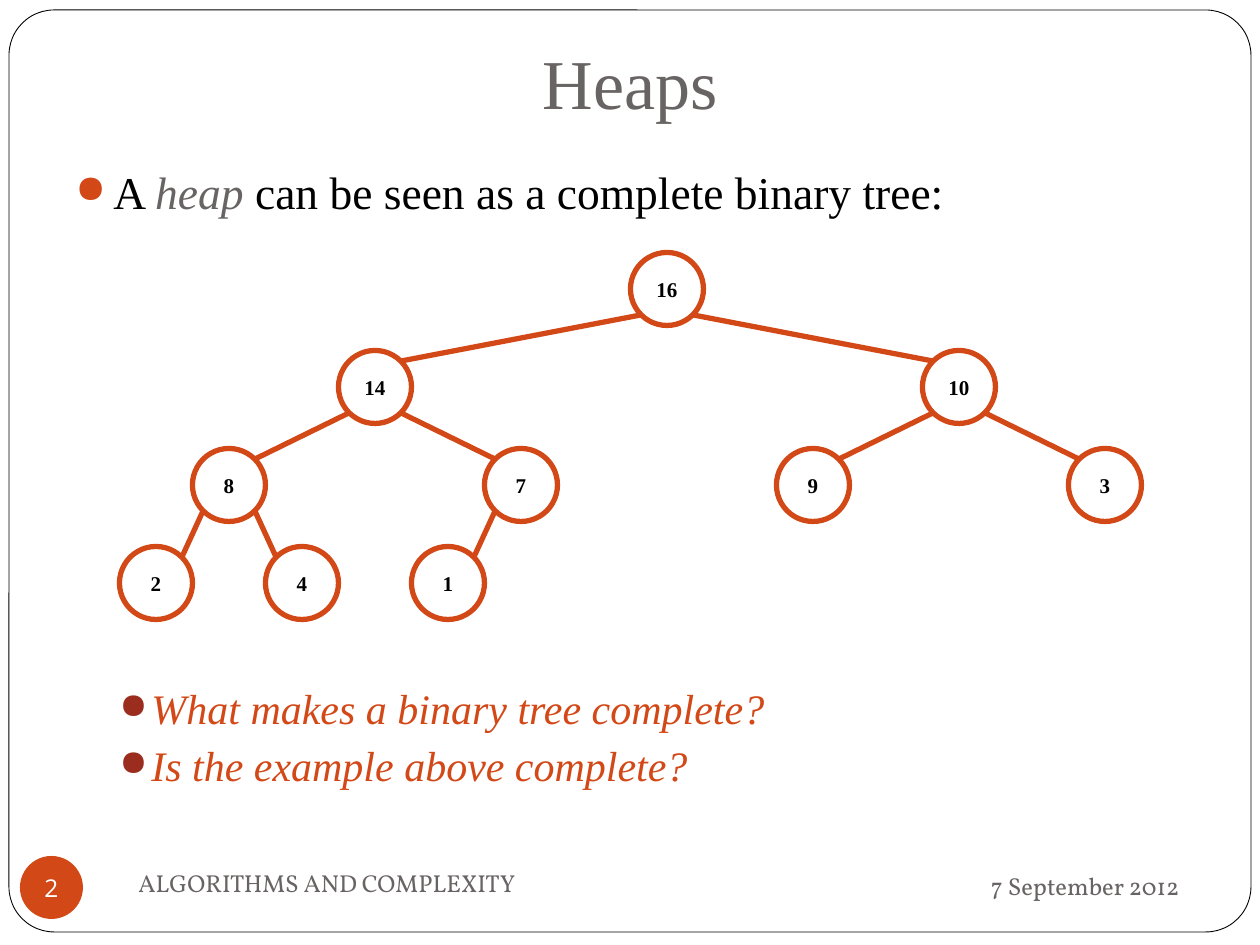
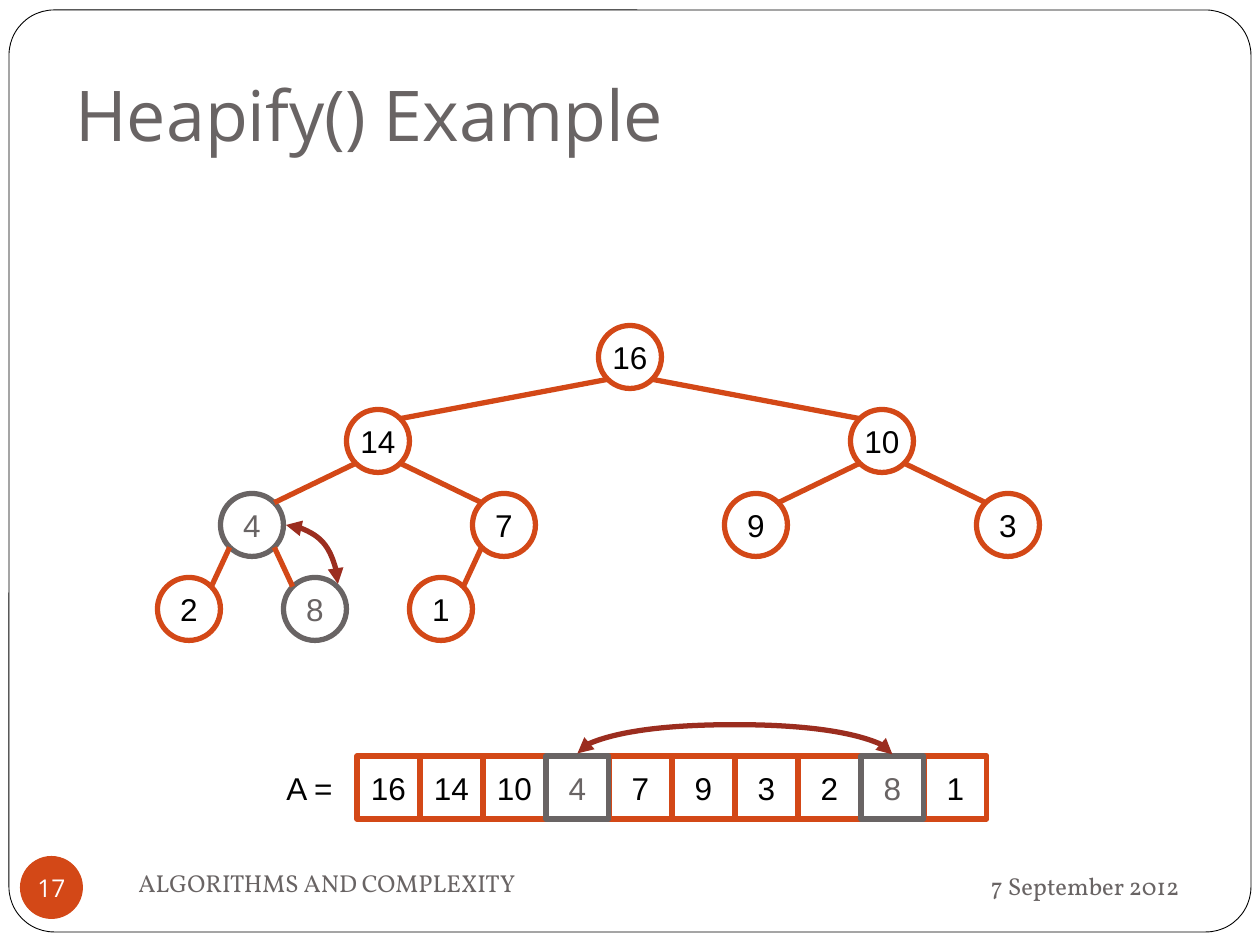
from dataclasses import dataclass

from lxml import etree
from pptx import Presentation
from pptx.dml.color import RGBColor
from pptx.enum.shapes import MSO_CONNECTOR, MSO_SHAPE
from pptx.enum.text import MSO_ANCHOR, PP_ALIGN
from pptx.oxml.ns import qn
from pptx.util import Emu, Pt

PX = 914400 // 126


@dataclass(frozen=True)
class Theme:
    """Colours, fonts and type sizes shared by the slides."""
    paper: str = "FFFFFF"
    ink: str = "000000"
    grey: str = "696464"
    orange: str = "D34817"
    red: str = "9B2D1F"
    serif: str = "Times New Roman"
    sans: str = "Open Sans"
    label: str = "Arial"
    footer: str = "Vollkorn"
    title_size: int = 40
    body_size: int = 26
    question_size: int = 24
    label_size: int = 18
    footer_size: int = 14
    small_size: int = 12
    stroke: int = 3


T = Theme()


@dataclass(frozen=True)
class Style:
    """Look of a run of text."""
    size: int
    font: str
    color: str
    bold: bool = False
    italic: bool = False


def px(*lengths):
    """Turn pixel lengths into EMU."""
    return [Emu(round(length * PX)) for length in lengths]


def rgb(color):
    """Turn a hex string into a colour."""
    return RGBColor.from_string(color)


def add_run(paragraph, text, style):
    """Append a styled run to a paragraph."""
    run = paragraph.add_run()
    run.text = text
    font = run.font
    font.size, font.name = Pt(style.size), style.font
    font.bold, font.italic = style.bold, style.italic
    font.color.rgb = rgb(style.color)


def write(shape, text, style, align=PP_ALIGN.CENTER, anchor=MSO_ANCHOR.MIDDLE,
          wrap=False):
    """Put one aligned line of text in a shape."""
    frame = shape.text_frame
    frame.word_wrap, frame.vertical_anchor = wrap, anchor
    frame.paragraphs[0].alignment = align
    add_run(frame.paragraphs[0], text, style)
    return frame


def add_text(slide, box, text, style, **layout):
    """Add a text box with one line."""
    return write(slide.shapes.add_textbox(*px(*box)), text, style, **layout)


def add_preset(slide, kind, box, fill, line=None, width=T.stroke):
    """Add a flat preset shape."""
    shape = slide.shapes.add_shape(kind, *px(*box))
    shape.shadow.inherit = False
    shape.fill.solid()
    shape.fill.fore_color.rgb = rgb(fill)
    if line:
        shape.line.color.rgb = rgb(line)
        shape.line.width = Pt(width)
    else:
        shape.line.fill.background()
    return shape


def add_line(slide, start, end, color=T.orange, kind=MSO_CONNECTOR.STRAIGHT):
    """Add a flat connector between two points."""
    line = slide.shapes.add_connector(kind, *px(*start, *end))
    line.line.color.rgb = rgb(color)
    line.line.width = Pt(T.stroke)
    etree.SubElement(line._element.spPr, qn("a:effectLst"))
    return line


def add_swap_arrow(slide, start, end):
    """Add a curved connector with a head at both ends."""
    arrow = add_line(slide, start, end, T.red, MSO_CONNECTOR.CURVE)
    outline = arrow.line._get_or_add_ln()
    for tag in ("a:headEnd", "a:tailEnd"):
        etree.SubElement(outline, qn(tag), type="triangle")
    return arrow


def add_corner_swap(slide, start, end):
    """Swap arrow that leaves sideways and arrives from above."""
    arrow = add_swap_arrow(slide, start, end)
    arrow._element.spPr.find(qn("a:prstGeom")).set("prst", "curvedConnector2")


def add_arch_swap(slide, left, right, y, rise):
    """Swap arrow that arches over a row, as a flat connector turned upright."""
    middle, half = (left + right) / 2, (right - left) / 2
    arrow = add_swap_arrow(slide, (middle - 0.5, y - half),
                           (middle + 0.5, y + half))
    frame = arrow._element.spPr.find(qn("a:xfrm"))
    frame.set("rot", str(90 * 60000))
    frame.set("flipV", "1")
    geometry = arrow._element.spPr.find(qn("a:prstGeom"))
    guides = geometry.find(qn("a:avLst"))
    if guides is None:
        guides = etree.SubElement(geometry, qn("a:avLst"))
    etree.SubElement(guides, qn("a:gd"), name="adj1",
                     fmla=f"val {-rise * 100000}")


def add_bullet(paragraph, color, margin, hanging, before):
    """Give a paragraph a coloured round bullet and a hanging indent."""
    paragraph.space_before = Pt(before)
    props = paragraph._p.get_or_add_pPr()
    props.set("marL", str(margin * PX))
    props.set("indent", str(-hanging * PX))
    tint = etree.SubElement(props, qn("a:buClr"))
    etree.SubElement(tint, qn("a:srgbClr"), val=color)
    etree.SubElement(props, qn("a:buSzPct"), val="85000")
    etree.SubElement(props, qn("a:buChar"), char="●")


def add_cell(slide, kind, box, value, marked, style):
    """Add an outlined cell holding a value, grey when marked."""
    shape = add_preset(slide, kind, box, T.paper,
                       T.grey if marked else T.orange)
    color = T.grey if marked else style.color
    write(shape, str(value), Style(style.size, style.font, color, style.bold))


def add_heap(slide, values, root, size, row, style, marked=()):
    """Draw a heap as a binary tree; return the node centres by index."""
    centres = {}
    for index, value in enumerate(values, 1):
        level = index.bit_length() - 1
        count = 2 ** level
        x = root[0] + 16 * size / count * (index - count - (count - 1) / 2)
        y = root[1] + level * row
        centres[index] = x, y
        add_cell(slide, MSO_SHAPE.OVAL,
                 (x - size / 2, y - size / 2, size, size),
                 value, index in marked, style)
    corner = size / 2 * 0.71
    for index in range(2, len(values) + 1):
        (px_, py_), (x, y) = centres[index // 2], centres[index]
        side = corner if index % 2 else -corner
        add_line(slide, (px_ + side, py_ + corner), (x - side, y - corner))
    return centres


def add_array(slide, values, left, top, size, style, marked=()):
    """Draw a row of array cells, the marked ones in front."""
    for index in sorted(range(1, len(values) + 1), key=lambda i: i in marked):
        add_cell(slide, MSO_SHAPE.RECTANGLE,
                 (left + (index - 1) * size, top, size, size),
                 values[index - 1], index in marked, style)


def add_slide(deck, number):
    """Add a slide with the frame, footers and number badge."""
    slide = deck.slides.add_slide(deck.slide_layouts[6])
    frame = add_preset(slide, MSO_SHAPE.ROUNDED_RECTANGLE,
                       (9, 10, 1242, 922), T.paper, T.ink, 0.5)
    frame.adjustments[0] = 0.049
    footer = Style(T.footer_size, T.footer, T.grey)
    add_text(slide, (850, 853, 342, 66), "7 September 2012", footer,
             align=PP_ALIGN.RIGHT, wrap=True)
    add_text(slide, (126, 851, 546, 63), "ALGORITHMS AND COMPLEXITY", footer,
             align=PP_ALIGN.LEFT, wrap=True)
    badge = add_preset(slide, MSO_SHAPE.OVAL, (20, 856, 63, 63), T.orange)
    text = write(badge, str(number), Style(T.footer_size, T.sans, T.paper))
    text.margin_left = text.margin_right = 0
    text.margin_top = text.margin_bottom = 0
    return slide


def add_title(slide, text, top, font, align):
    """Add the slide title, set on the bottom of its box."""
    frame = add_text(slide, (63, top, 1134, 136), text,
                     Style(T.title_size, font, T.grey), align=align,
                     anchor=MSO_ANCHOR.BOTTOM, wrap=True)
    frame.margin_bottom = Pt(7.2)


def build_heaps(deck):
    """Slide that shows a heap as a complete binary tree."""
    slide = add_slide(deck, 2)
    body = Style(T.body_size, T.serif, T.ink)
    frame = add_text(slide, (63, 158, 1134, 661), "A ", body,
                     align=PP_ALIGN.LEFT, anchor=MSO_ANCHOR.TOP, wrap=True)
    lead = frame.paragraphs[0]
    add_run(lead, "heap", Style(T.body_size, T.serif, T.grey, italic=True))
    add_run(lead, " can be seen as a complete binary tree:", body)
    add_bullet(lead, T.orange, 38, 38, 5.8)
    question = Style(T.question_size, T.serif, T.orange, italic=True)
    for text, before in (("What makes a binary tree complete?", 265),
                         ("Is the example above complete?", 3.8)):
        paragraph = frame.add_paragraph()
        add_run(paragraph, text, question)
        add_bullet(paragraph, T.red, 76, 32, before)
    add_title(slide, "Heaps", 0, T.serif, PP_ALIGN.CENTER)
    add_heap(slide, [16, 14, 10, 8, 7, 9, 3, 2, 4, 1], (667, 289), 73, 98,
             Style(T.small_size, T.serif, T.ink, bold=True))


def build_heapify(deck):
    """Slide that shows a swap in the tree and in the array."""
    slide = add_slide(deck, 17)
    add_title(slide, "Heapify() Example", 32, T.sans, PP_ALIGN.LEFT)
    values, swapped = [16, 14, 10, 4, 7, 9, 3, 2, 8, 1], (4, 9)
    label = Style(T.label_size, T.label, T.ink)
    size, left, top = 63, 357, 756
    centres = add_heap(slide, values, (630, 357), size, 84, label, swapped)
    (x1, y1), (x2, y2) = (centres[index] for index in swapped)
    add_corner_swap(slide, (x1 + 34, y1), (x2 + 23, y2 - 25))
    add_text(slide, (262, top, 95, size), "A =", label)
    add_array(slide, values, left, top, size, label, swapped)
    ends = [left + (index - 0.5) * size for index in swapped]
    add_arch_swap(slide, *ends, y=top - 2, rise=29)


def main():
    """Build the deck and save it."""
    deck = Presentation()
    deck.slide_width, deck.slide_height = px(1260, 945)
    build_heaps(deck)
    build_heapify(deck)
    deck.save("out.pptx")


main()
